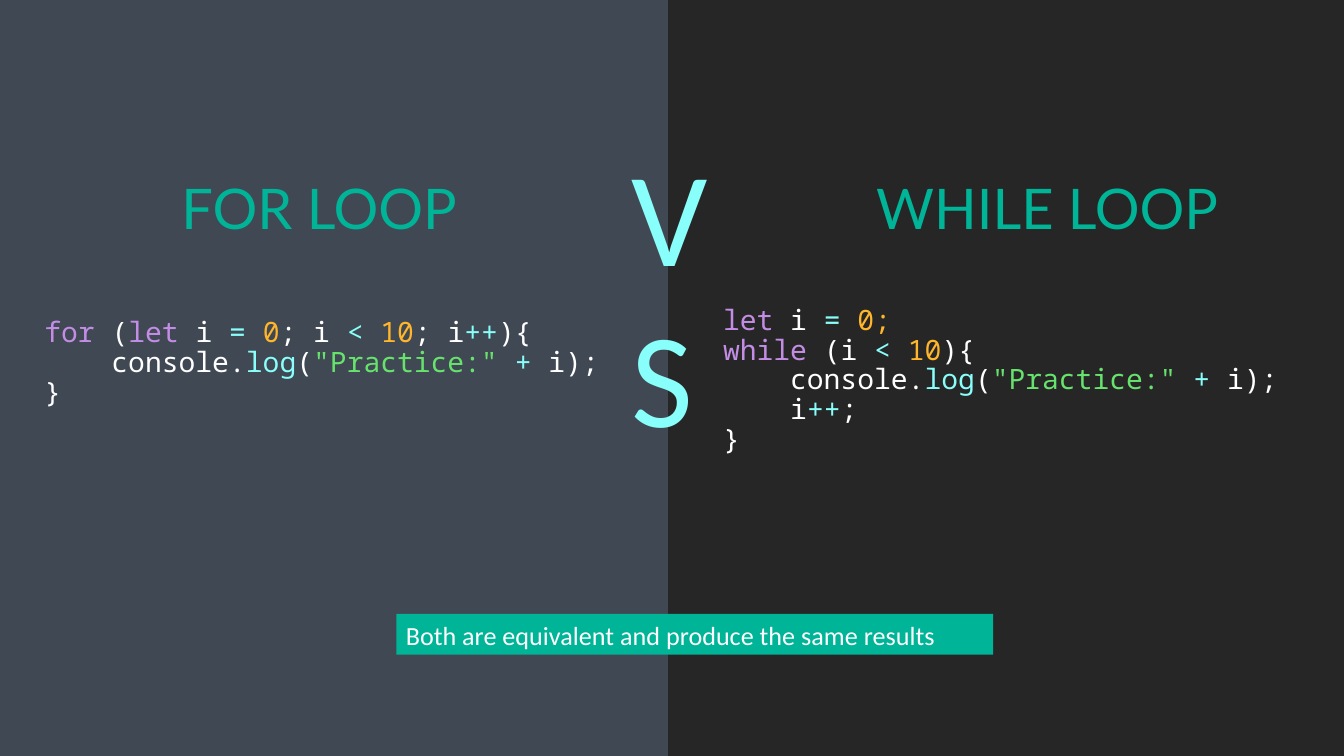
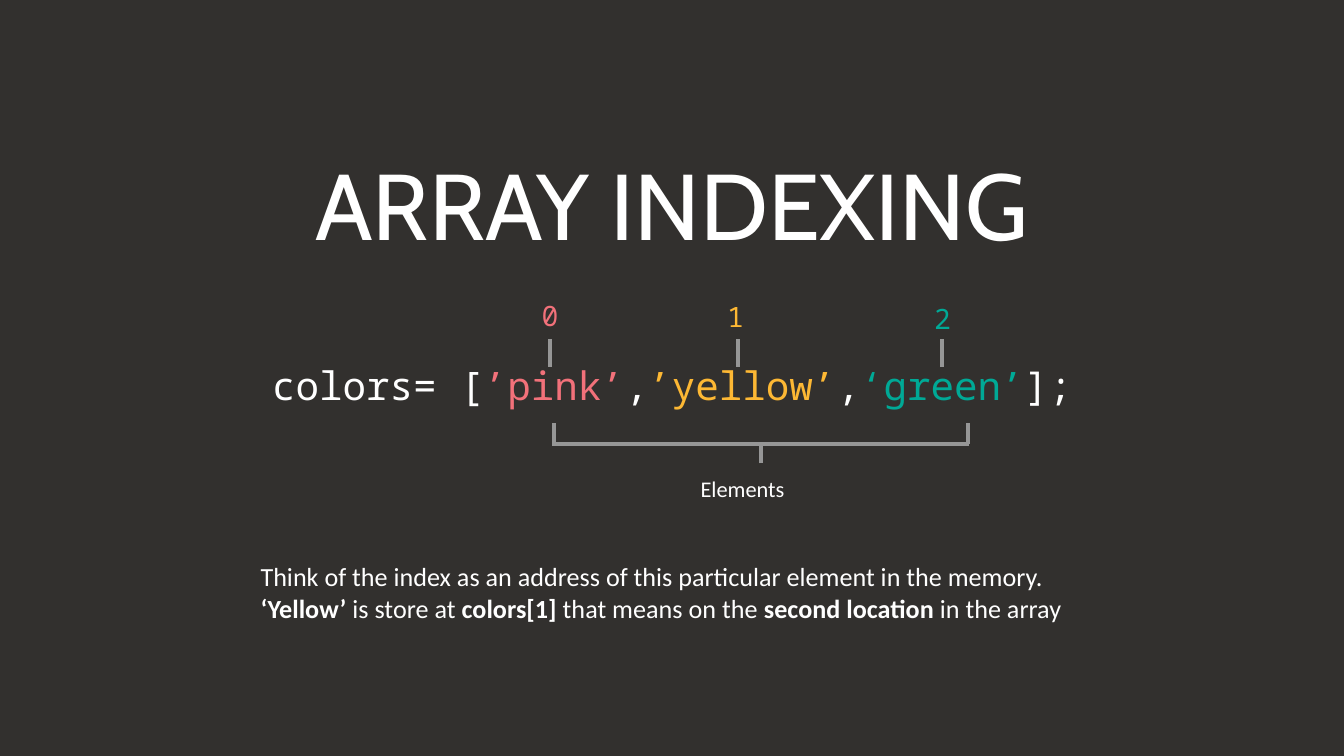
"""Build two slides on JavaScript loops and array indexing."""
from lxml import etree
from pptx import Presentation
from pptx.dml.color import RGBColor
from pptx.enum.shapes import MSO_CONNECTOR, MSO_SHAPE
from pptx.enum.text import MSO_ANCHOR, MSO_AUTO_SIZE, PP_ALIGN
from pptx.oxml.ns import qn
from pptx.util import Inches, Pt

STRAIGHT = MSO_CONNECTOR.STRAIGHT
RECTANGLE = MSO_SHAPE.RECTANGLE
LEFT, CENTER = PP_ALIGN.LEFT, PP_ALIGN.CENTER
TOP, MIDDLE = MSO_ANCHOR.TOP, MSO_ANCHOR.MIDDLE
NO_AUTOFIT = MSO_AUTO_SIZE.NONE

CHARCOAL = RGBColor(0x26, 0x26, 0x26)
SLATE = RGBColor(0x40, 0x48, 0x53)
BROWN_BLACK = RGBColor(0x32, 0x30, 0x2E)
WHITE = RGBColor(0xFF, 0xFF, 0xFF)
GRAY = RGBColor(0x96, 0x96, 0x96)
TEAL = RGBColor(0x00, 0xB4, 0x98)
PURPLE = RGBColor(0xC3, 0x8D, 0xE5)
CYAN = RGBColor(0x88, 0xFF, 0xFA)
ORANGE = RGBColor(0xFF, 0xB6, 0x2B)
LIME = RGBColor(0x67, 0xE3, 0x6D)
PINK = RGBColor(0xF2, 0x71, 0x7A)
YELLOW = RGBColor(0xFD, 0xB8, 0x34)
GREEN = RGBColor(0x00, 0xA9, 0x96)

CODE_FONT, BODY_FONT = "Noto Sans Mono", "Calibri"
CODE_SPACING = 0.89

presentation = Presentation()
presentation.slide_width = Inches(10)
presentation.slide_height = Inches(5.625)
COLUMN = presentation.slide_width / 100
ROW = presentation.slide_height / 100
TITLE_ONLY, BLANK = presentation.slide_layouts[5], presentation.slide_layouts[6]


def write(shape, box, lines, size, font=BODY_FONT, color=WHITE, align=LEFT,
          anchor=TOP, spacing=1.0, insets=(0.07, 0.04)):
    shape.left, shape.width = int(box[0] * COLUMN), int(box[2] * COLUMN)
    shape.top, shape.height = int(box[1] * ROW), int(box[3] * ROW)
    frame = shape.text_frame
    frame.word_wrap = True
    frame.auto_size = NO_AUTOFIT
    frame.vertical_anchor = anchor
    frame.margin_left = frame.margin_right = Inches(insets[0])
    frame.margin_top = frame.margin_bottom = Inches(insets[1])
    for number, line in enumerate(lines):
        paragraph = frame.add_paragraph() if number else frame.paragraphs[0]
        paragraph.alignment = align
        paragraph.line_spacing = spacing
        paragraph.font.size = Pt(size)
        paragraph.font.name = font
        paragraph.font.color.rgb = color
        for text, run_color in line:
            run = paragraph.add_run()
            run.text = text
            if run_color != color:
                run.font.color.rgb = run_color


def draw_line(shapes, x1, y1, x2, y2):
    line = shapes.add_connector(STRAIGHT, int(x1 * COLUMN), int(y1 * ROW),
                                int(x2 * COLUMN), int(y2 * ROW))
    line.line.color.rgb = GRAY
    line.line.width = Pt(2)
    etree.SubElement(line._element.spPr, qn("a:effectLst"))


slide = presentation.slides.add_slide(BLANK)
slide.background.fill.solid()
slide.background.fill.fore_color.rgb = CHARCOAL
left_panel = slide.shapes.add_shape(
    RECTANGLE, 0, 0, int(49.7 * COLUMN), presentation.slide_height)
result_banner = slide.shapes.add_shape(RECTANGLE, 0, 0, 0, 0)
for shape, color in ((left_panel, SLATE), (result_banner, TEAL)):
    shape.shadow.inherit = False
    shape.fill.solid()
    shape.fill.fore_color.rgb = color
    shape.line.fill.background()

log_line = [("    console.", WHITE), ("log", CYAN), ("(", WHITE),
            ('"Practice:" ', LIME), ("+", CYAN), (" i);", WHITE)]
while_code = [
    [("let ", PURPLE), ("i ", WHITE), ("= ", CYAN), ("0;", ORANGE)],
    [("while ", PURPLE), ("(i ", WHITE), ("< ", CYAN), ("10", ORANGE), ("){", WHITE)],
    log_line,
    [("    i", WHITE), ("++", CYAN), (";", WHITE)],
    [("}", WHITE)],
]
for_code = [
    [("for", PURPLE), (" (", WHITE), ("let ", PURPLE), ("i ", WHITE), ("= ", CYAN),
     ("0", ORANGE), ("; i ", WHITE), ("< ", CYAN), ("10", ORANGE), ("; i", WHITE),
     ("++", CYAN), ("){", WHITE)],
    log_line,
    [("}", WHITE)],
]
for box, code in (((53.1, 39.8, 44.4, 23.8), while_code),
                  ((2.6, 41.4, 43.2, 14.8), for_code)):
    write(slide.shapes.add_textbox(0, 0, 0, 0), box, code, 15, CODE_FONT,
          spacing=CODE_SPACING)
for left, width, heading in ((12.8, 22, "FOR LOOP"), (64.5, 27, "WHILE LOOP")):
    write(slide.shapes.add_textbox(0, 0, 0, 0), (left, 22.2, width, 10.3),
          [[(heading, TEAL)]], 30, "Lato", TEAL)
write(slide.shapes.add_textbox(0, 0, 0, 0), (46.3, 16.7, 11.5, 43.6),
      [[("VS", CYAN)]], 72, color=CYAN)
write(result_banner, (29.5, 81.2, 44.4, 5.4),
      [[("Both are equivalent and produce the same results", WHITE)]], 14)

slide = presentation.slides.add_slide(TITLE_ONLY)
slide.background.fill.solid()
slide.background.fill.fore_color.rgb = BROWN_BLACK
write(slide.shapes.title, (0, 18.1, 100, 19.4), [[("ARRAY INDEXING", WHITE)]],
      50, "Cabin", align=CENTER, anchor=MIDDLE, spacing=0.9)
array_code = [("colors= [", WHITE), ("’pink’", PINK), (",", WHITE),
              ("’yellow’", YELLOW), (",", WHITE), ("‘green’", GREEN), ("];", WHITE)]
write(slide.shapes.add_textbox(0, 0, 0, 0), (0, 34.1, 100, 34.5), [array_code],
      21, CODE_FONT, align=CENTER, anchor=MIDDLE, spacing=0.9, insets=(0.37, 0.37))

index_marks = ((39.6, 39.3, 3.6, 40.9, PINK), (53.4, 39.5, 2.8, 54.9, YELLOW),
               (68.8, 39.7, 2.8, 70.1, GREEN))
for index, (left, top, width, tick, color) in enumerate(index_marks):
    write(slide.shapes.add_textbox(0, 0, 0, 0), (left, top, width, 5.9),
          [[(str(index), color)]], 15, CODE_FONT, color, spacing=CODE_SPACING)
    draw_line(slide.shapes, tick, 48.5, tick, 44.8)

bracket = slide.shapes.add_group_shape()
for x, top, bottom in ((72, 56, 58.7), (41.2, 56, 58.7), (56.6, 58.7, 61.3)):
    draw_line(bracket.shapes, x, bottom, x, top)
draw_line(bracket.shapes, 72.1, 58.7, 41.1, 58.7)
write(slide.shapes.add_textbox(0, 0, 0, 0), (48.9, 62.9, 12.7, 3.2),
      [[("Elements", WHITE)]], 12, align=CENTER, insets=(0, 0))

explanation = slide.shapes.add_textbox(0, 0, 0, 0)
sentences = (
    ("Think of the index as an address of this particular element in the memory.",),
    ("‘Yellow’", " is store at ", "colors[1]", " that means on the ",
     "second location ", "in the array"),
)
write(explanation, (18.4, 72.4, 69.5, 11.9),
      [[(text, WHITE) for text in sentence] for sentence in sentences],
      14, insets=(0.1, 0.1))
for run in explanation.text_frame.paragraphs[1].runs[::2]:
    run.font.bold = True

presentation.save("out.pptx")
